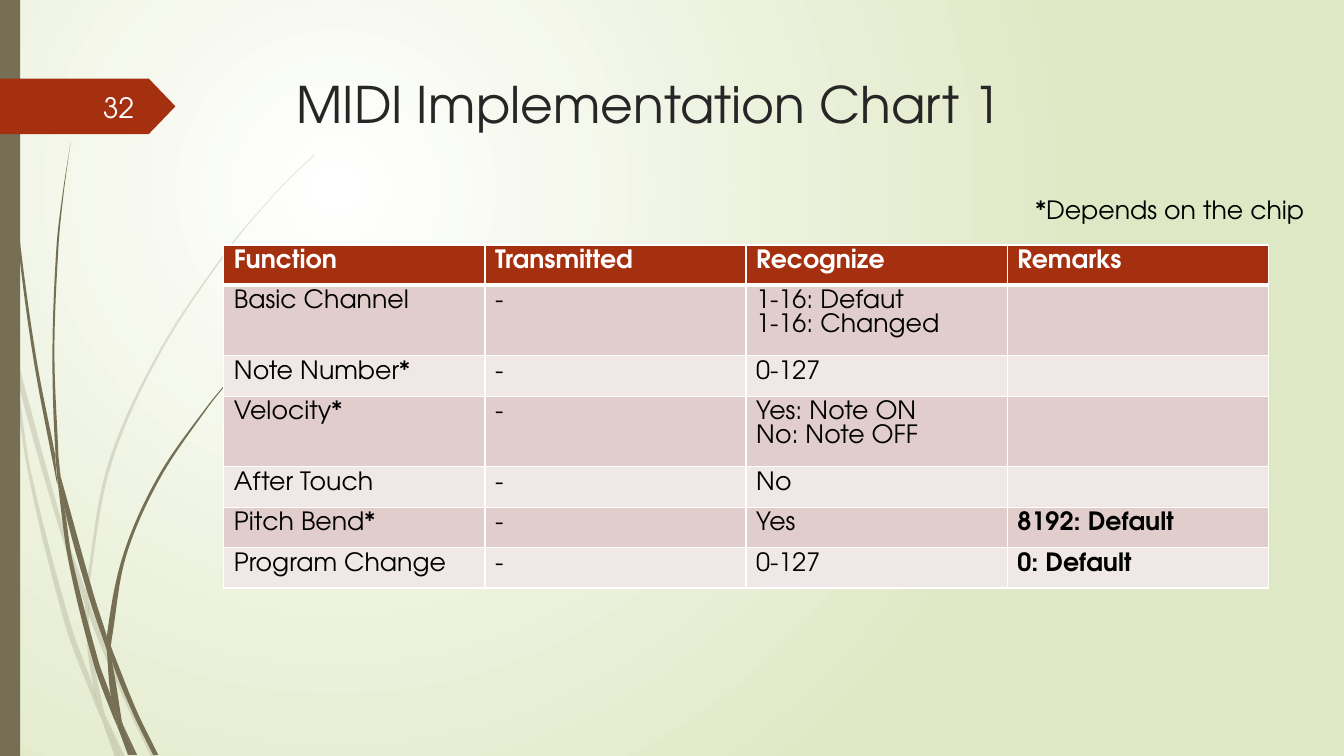
"""Build the MIDI implementation chart slide."""
from math import dist

from lxml import etree
from pptx import Presentation
from pptx.dml.color import RGBColor
from pptx.enum.shapes import MSO_SHAPE
from pptx.enum.text import MSO_ANCHOR, PP_ALIGN
from pptx.oxml.ns import qn
from pptx.util import Inches, Pt

RECT, PENTAGON = MSO_SHAPE.RECTANGLE, MSO_SHAPE.PENTAGON
TOP, MIDDLE = MSO_ANCHOR.TOP, MSO_ANCHOR.MIDDLE
LEFT, RIGHT = PP_ALIGN.LEFT, PP_ALIGN.RIGHT
FONT = "TeX Gyre Adventor"
WHITE = RGBColor(0xFF, 0xFF, 0xFF)
BLACK = RGBColor(0, 0, 0)
OFF_WHITE = RGBColor(0xFE, 0xFF, 0xFF)
CHARCOAL = RGBColor(0x26, 0x26, 0x26)
PALE_GREEN = RGBColor(0xDF, 0xE8, 0xC4)
OLIVE = RGBColor(0x76, 0x6F, 0x54)
RUST = RGBColor(0xA5, 0x30, 0x10)
BANDS = RGBColor(0xE1, 0xCD, 0xCC), RGBColor(0xF0, 0xE8, 0xE7)

TITLE = "MIDI Implementation Chart 1"
NUMBER = "32"
NOTE = "*Depends on the chip"
HEADER = ["Function", "Transmitted", "Recognize", "Remarks"]
ROWS = [
    ("Basic Channel", "-", "1-16: Defaut\n1-16: Changed", ""),
    ("Note Number*", "-", "0-127", ""),
    ("Velocity*", "-", "Yes: Note ON\nNo: Note OFF", ""),
    ("After Touch", "-", "No", ""),
    ("Pitch Bend*", "-", "Yes", "8192: Default"),
    ("Program Change", "-", "0-127", "0: Default"),
]
FAINT_GRASS = [
    ([(0.11, 3.5), (0.09, 3.22), (0, 2.82)], [(0, 2.99), (0.1, 3.44), (0.11, 3.5)]),
    ([(0.14, 3.45), (0.17, 3.76), (0.58, 5.22), (0.84, 5.99)],
     [(0.85, 5.86), (0.62, 5.2), (0.14, 3.45)]),
    ([(0.88, 5.96), (0.88, 6.1), (1.23, 6.94), (1.5, 7.51)],
     [(1.55, 7.51), (1.27, 6.92), (0.92, 6.07), (0.88, 5.96)]),
    ([(1.19, 7.51), (1.24, 7.51)], [(1.05, 7.11), (1.19, 7.51)]),
    ([(0.11, 3.5), (0.28, 4.7), (0.65, 6.21), (0.92, 6.93), (1.01, 7.14)],
     [(0.99, 7.07), (0.93, 6.83), (0.7, 6.19), (0.31, 4.69), (0.17, 3.76), (0.11, 3.5)]),
    ([(0.84, 5.99), (0.87, 6.46), (0.93, 6.83), (0.96, 6.92), (1.05, 7.11)],
     [(1.03, 7.06), (0.91, 6.46), (0.88, 6.1), (0.88, 6.08), (0.84, 5.99)]),
    ([(0.88, 5.96), (0.88, 5.84), (1.1, 4.62), (1.6, 3.49), (2.29, 2.45), (2.68, 1.98),
      (2.9, 1.75), (3.12, 1.54)],
     [(3.12, 1.53), (2.89, 1.75), (2.68, 1.97), (2.28, 2.44), (1.58, 3.48), (1.07, 4.61),
      (0.85, 5.84), (0.85, 5.86)]),
    ([(1.01, 7.14), (1.14, 7.51)], [(1.19, 7.51), (1.01, 7.14)]),
    ([(0.88, 6.08), (0.88, 6.1), (0.88, 5.96)], [(0.85, 5.86), (0.84, 5.99)]),
    ([(0.93, 6.83), (0.99, 7.07), (1.01, 7.14), (1.19, 7.51)],
     [(1.05, 7.11), (0.96, 6.92), (0.93, 6.83)]),
]
SOLID_GRASS = [
    ([(0.03, 0), (0.04, 0.48), (0.07, 1.1), (0.17, 2.33), (0.33, 3.55), (0.56, 4.77),
      (0.57, 4.81)],
     [(0.55, 4.57), (0.55, 4.53), (0.36, 3.55), (0.19, 2.32), (0.08, 1.09), (0.05, 0.48),
      (0.04, 0)]),
    ([(0.6, 4.72), (0.64, 5.05), (0.88, 5.92), (1.06, 6.45)],
     [(1.06, 6.33), (1.06, 6.31), (0.93, 5.9), (0.6, 4.72)]),
    ([(1.1, 6.41), (1.11, 6.56), (1.32, 7.08), (1.52, 7.49)],
     [(1.57, 7.49), (1.36, 7.06), (1.13, 6.49), (1.1, 6.41)]),
    ([(0.57, 4.77), (0.68, 5.57), (0.93, 6.59), (1.11, 7.08), (1.17, 7.22)],
     [(1.16, 7.17), (1.1, 6.91), (0.98, 6.57), (0.72, 5.56), (0.64, 5.05), (0.57, 4.77)]),
    ([(0.7, 1.41), (0.62, 1.93), (0.56, 2.45), (0.52, 3.49), (0.55, 4.49), (0.6, 4.72)],
     [(0.58, 4.53), (0.54, 3.49), (0.58, 2.45), (0.63, 1.93), (0.7, 1.41)]),
    ([(1.33, 7.49), (1.36, 7.49)], [(1.22, 7.19), (1.33, 7.49)]),
    ([(0.57, 4.77), (0.64, 5.05)], [(0.6, 4.72), (0.55, 4.49), (0.55, 4.53), (0.57, 4.77)]),
    ([(1.11, 6.33), (1.25, 5.52), (1.58, 4.76), (2.05, 4.06), (2.31, 3.74), (2.61, 3.44)],
     [(2.6, 3.44), (2.31, 3.73), (2.04, 4.05), (1.56, 4.74), (1.22, 5.51), (1.06, 6.31),
      (1.1, 6.41)]),
    ([(1.17, 7.22), (1.27, 7.49)], [(1.31, 7.49), (1.17, 7.22)]),
    ([(1.06, 6.45), (1.1, 6.91), (1.16, 7.06), (1.22, 7.19)],
     [(1.21, 7.16), (1.11, 6.56), (1.06, 6.45)]),
    ([(1.06, 6.45), (1.11, 6.56)], [(1.1, 6.41), (1.06, 6.31), (1.06, 6.45)]),
    ([(1.1, 6.91), (1.16, 7.17), (1.17, 7.22), (1.3, 7.49)],
     [(1.33, 7.49), (1.22, 7.19), (1.16, 7.06), (1.1, 6.91)]),
]


def paint(sp, color):
    """Give a shape a flat fill."""
    sp.shadow.inherit = False
    sp.fill.solid()
    sp.fill.fore_color.rgb = color
    sp.line.fill.background()


def handle(at, before, after, reach):
    """Return the control point beside a point, along its tangent."""
    k = reach / 3 / (dist(before, after) or 1)
    return tuple(round(c + k * (b - a)) for c, a, b in zip(at, before, after))


def add_blade(s, edges, alpha=None):
    """Draw a grass blade bounded by two smooth edges."""
    edges = [[(Inches(x), Inches(y)) for x, y in edge] for edge in edges]
    outline = edges[0] + edges[1]
    fb = s.shapes.build_freeform(*outline[0])
    fb.add_line_segments(outline[1:], close=True)
    sp = fb.convert_to_shape()
    paint(sp, OLIVE)
    segments = list(sp._element.iter(qn("a:lnTo")))
    for start, edge in zip((0, len(edges[0])), edges):
        ends = [edge[0], *edge, edge[-1]]
        for i, (a, b, c, d) in enumerate(zip(ends, ends[1:], ends[2:], ends[3:])):
            curve = segments[start + i]
            bezier = etree.Element(qn("a:cubicBezTo"))
            reach = dist(b, c)
            for x, y in (handle(b, a, c, reach), handle(c, d, b, reach), c):
                etree.SubElement(bezier, qn("a:pt"), x=str(x - sp.left), y=str(y - sp.top))
            curve.getparent().replace(curve, bezier)
    if alpha:
        color = sp._element.spPr.find(".//" + qn("a:srgbClr"))
        etree.SubElement(color, qn("a:alpha"), val=str(alpha * 1000))


def add_run(p, text, size, color, bold=False):
    """Append one formatted run."""
    r = p.add_run()
    r.text = text
    r.font.name, r.font.size, r.font.bold = FONT, Pt(size), bold
    r.font.color.rgb = color


def add_text(s, box, text, size, color, align=LEFT, anchor=TOP):
    """Add a one-paragraph text box."""
    tf = s.shapes.add_textbox(*map(Inches, box)).text_frame
    tf.word_wrap, tf.vertical_anchor = True, anchor
    p = tf.paragraphs[0]
    p.alignment = align
    add_run(p, text, size, color)


def set_borders(cell, bottom):
    """Put white lines around a cell."""
    tcPr = cell._tc.get_or_add_tcPr()
    for i, (side, width) in enumerate(zip("LRTB", (1, 1, 1, bottom))):
        ln = etree.Element(qn("a:ln" + side), w=str(Pt(width)))
        fill = etree.SubElement(ln, qn("a:solidFill"))
        etree.SubElement(fill, qn("a:srgbClr"), val=str(WHITE))
        tcPr.insert(i, ln)


def add_chart_table(s):
    """Add the implementation table."""
    rows = [HEADER, *ROWS]
    table = s.shapes.add_table(len(rows), len(HEADER), Inches(2.22), Inches(2.43),
                               Inches(10.36), Inches(0.4 * len(rows))).table
    for i, row in enumerate(rows):
        for j, text in enumerate(row):
            cell = table.cell(i, j)
            cell.fill.solid()
            cell.fill.fore_color.rgb = BANDS[(i - 1) % 2] if i else RUST
            set_borders(cell, 1 if i else 3)
            tf = cell.text_frame
            for k, line in enumerate(text.split("\n")):
                p = tf.add_paragraph() if k else tf.paragraphs[0]
                if line:
                    add_run(p, line, 18, BLACK if i else WHITE, i == 0 or j == 3)
                else:
                    p.font.size, p.font.name = Pt(18), FONT


def set_background(s):
    """Fill the background with a radial gradient."""
    fill = s.background.fill
    fill.gradient()
    for stop, color in zip(fill.gradient_stops, (WHITE, PALE_GREEN)):
        stop.color.rgb = color
    grad = s._element.find(".//" + qn("a:gradFill"))
    grad.remove(grad.find(qn("a:lin")))
    radial = etree.SubElement(grad, qn("a:path"), {"path": "circle"})
    etree.SubElement(radial, qn("a:fillToRect"), l="50000", t="50000", r="100000", b="100000")


def main():
    """Assemble and save the slide."""
    prs = Presentation()
    prs.slide_width, prs.slide_height = Inches(13.33), Inches(7.5)
    s = prs.slides.add_slide(prs.slide_layouts[6])
    set_background(s)
    for grass, alpha in ((FAINT_GRASS, 20), (SOLID_GRASS, None)):
        for edges in grass:
            add_blade(s, edges, alpha)
    paint(s.shapes.add_shape(RECT, 0, 0, Inches(0.2), Inches(7.5)), OLIVE)
    tag = s.shapes.add_shape(PENTAGON, 0, Inches(0.78), Inches(1.74), Inches(0.55))
    tag.adjustments[0] = 0.48
    paint(tag, RUST)
    add_text(s, (2.84, 0.68, 9.75, 1.4), TITLE, 36, CHARCOAL)
    add_text(s, (0.58, 0.86, 0.85, 0.4), NUMBER, 20, OFF_WHITE, RIGHT, MIDDLE)
    add_chart_table(s)
    add_text(s, (10.17, 1.88, 3.04, 0.4), NOTE, 18, BLACK)
    prs.save("out.pptx")


if __name__ == "__main__":
    main()
